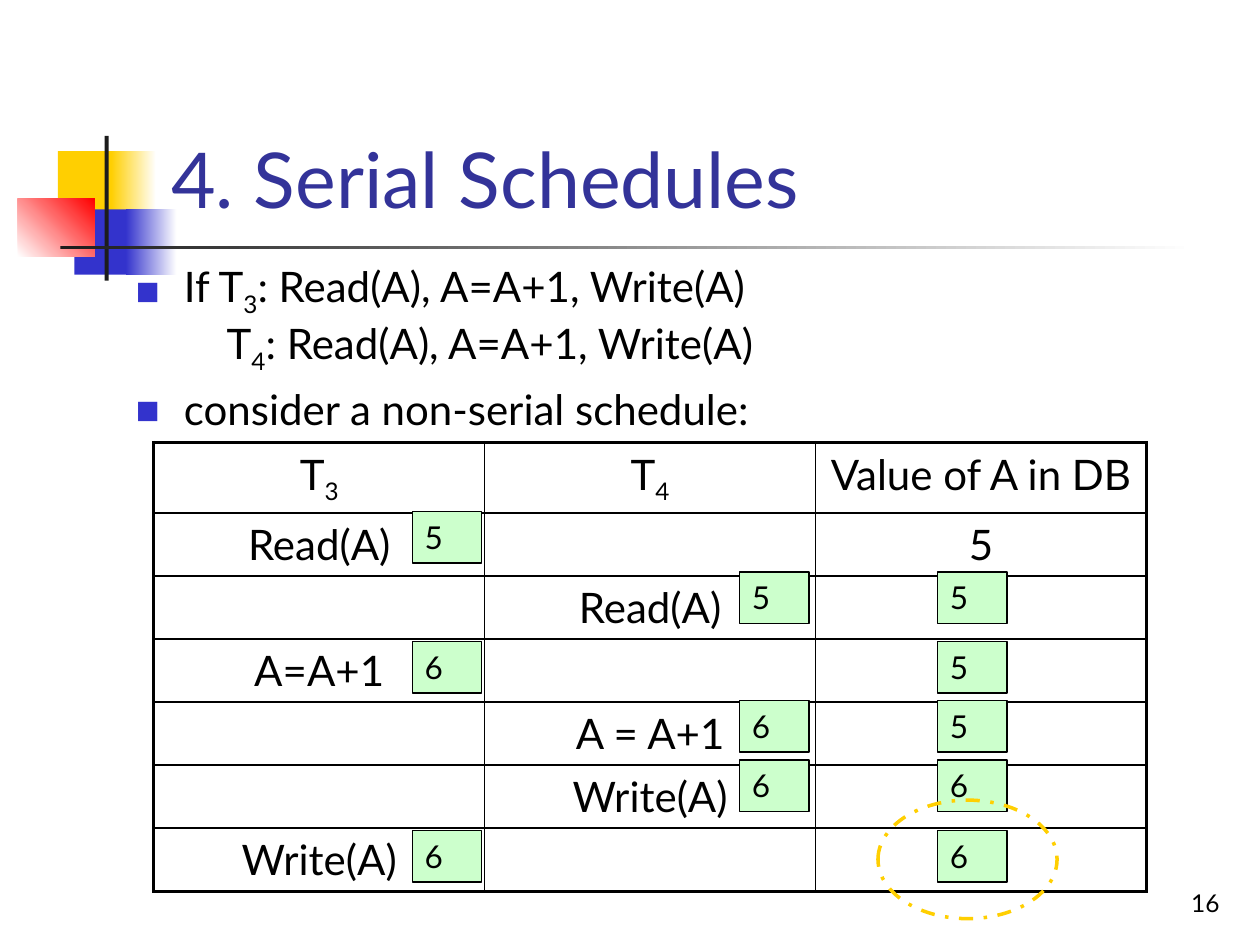
from lxml import etree
from pptx import Presentation
from pptx.dml.color import RGBColor
from pptx.enum import dml, shapes, text
from pptx.oxml.ns import qn
from pptx.util import Cm, Pt

FONT = "Lato"
BLACK, WHITE, GOLD, BLUE, RED = "000000", "FFFFFF", "FFCF01", "3333CC", "FF0000"
DARK, TITLE, MINT = "1C1C1C", "333399", "CCFFCC"

# Content: in a tuple of text parts, every second part is a subscript
HEADING = ("4. Serial Schedules",)
PAGE = ("16",)
BODY = [  # parts, left margin, bulleted, space before
    (("If T", "3", ": Read(A), A=A+1, Write(A)"), 0.97, True, 0),
    (("T", "4", ": Read(A), A=A+1, Write(A)"), 1.83, False, 0),
    (("consider a non-serial schedule:",), 0.97, True, 4.8),
]
SCHEDULE = [
    [("T", "3"), ("T", "4"), ("Value of A in DB",)],
    [("Read(A)",), (), ("5",)],
    [(), ("Read(A)",), ()],
    [("A=A+1",), (), ()],
    [(), ("A = A+1",), ()],
    [(), ("Write(A)",), ()],
    [("Write(A)",), (), ()],
]
VALUE_X = {"T3": 8.31, "T4": 14.91, "DB": 18.9}
VALUES = [  # top, value shown in each column
    (10.31, {"T3": "5"}),
    (11.53, {"T4": "5", "DB": "5"}),
    (12.93, {"T3": "6", "DB": "5"}),
    (14.12, {"T4": "6", "DB": "5"}),
    (15.32, {"T4": "6", "DB": "6"}),
    (16.74, {"T3": "6", "DB": "6"}),
]
DECOR = [  # left, top, width, height, colours, gradient angle
    (1.17, 3.05, 1.22, 1.32, (GOLD,), 0),
    (2.24, 3.05, 0.91, 1.32, (GOLD, WHITE), 0),
    (1.5, 4.22, 1.17, 1.32, (BLUE,), 0),
    (2.54, 4.22, 1.02, 1.32, (BLUE, WHITE), 0),
    (0.36, 4.01, 1.55, 1.17, (WHITE, RED), 45),
    (2.11, 2.74, 0.08, 2.92, (DARK,), 0),
    (1.22, 4.95, 22.86, 0.08, (DARK, WHITE), 0),
]


def rgb(value):
    return RGBColor.from_string(value)


def write(p, parts, size, color=BLACK, align=text.PP_ALIGN.LEFT):
    p.alignment = align
    for i, part in enumerate(parts):
        r = p.add_run()
        r.text = part
        for key, value in {"size": Pt(size), "name": FONT}.items():
            setattr(r.font, key, value)
        r.font.color.rgb = rgb(color)
        if i % 2:
            r._r.get_or_add_rPr().set("baseline", "-25000")


def frame(sp, anchor):
    tf = sp.text_frame
    settings = {"word_wrap": True, "auto_size": text.MSO_AUTO_SIZE.NONE,
                "vertical_anchor": anchor}
    for key, value in settings.items():
        setattr(tf, key, value)
    return tf


def add_shape(s, kind, box, colors=(), angle=0):
    sp = s.shapes.add_shape(kind, *map(Cm, box))
    sp.shadow.inherit = False
    sp.line.fill.background()
    if len(colors) == 2:
        sp.fill.gradient()
        sp.fill.gradient_angle = angle
        for i, stop in enumerate(sp.fill.gradient_stops):
            stop.position = i
            stop.color.rgb = rgb(colors[i])
    elif colors:
        sp.fill.solid()
        sp.fill.fore_color.rgb = rgb(colors[0])
    else:
        sp.fill.background()
    return sp


def indent(p, left, bulleted):
    pPr = p._p.get_or_add_pPr()
    pPr.set("marL", str(Cm(left)))
    pPr.set("indent", str(-Cm(left) if bulleted else 0))
    if bulleted:
        color = etree.SubElement(pPr, qn("a:buClr"))
        etree.SubElement(color, qn("a:srgbClr"), val=BLUE)
        etree.SubElement(pPr, qn("a:buSzPct"), val="60000")
        etree.SubElement(pPr, qn("a:buFont"), typeface=FONT)
        etree.SubElement(pPr, qn("a:buChar"), char="■")
    else:
        etree.SubElement(pPr, qn("a:buNone"))


def set_borders(cell, widths):
    tcPr = cell._tc.get_or_add_tcPr()
    for side, width in widths.items():
        ln = etree.SubElement(tcPr, qn("a:ln" + side), w=str(Pt(width)))
        fill = etree.SubElement(ln, qn("a:solidFill"))
        etree.SubElement(fill, qn("a:srgbClr"), val=BLACK)


def add_schedule(s):
    rows, cols = len(SCHEDULE), len(SCHEDULE[0])
    table = s.shapes.add_table(rows, cols, Cm(3.1), Cm(8.92), Cm(20.01), Cm(9.04)).table
    table.first_row = table.horz_banding = False
    for column in table.columns:
        column.width = Cm(6.67)
    for i, row in enumerate(SCHEDULE):
        table.rows[i].height = Cm(1.27 if i else 1.42)
        for j, parts in enumerate(row):
            cell = table.cell(i, j)
            outer = {"L": j == 0, "R": j == cols - 1, "T": i == 0, "B": i == rows - 1}
            set_borders(cell, {side: 2.25 if edge else 1 for side, edge in outer.items()})
            cell.fill.background()
            write(cell.text_frame.paragraphs[0], parts, 24, align=text.PP_ALIGN.CENTER)


def main():
    prs = Presentation()
    prs.slide_width, prs.slide_height = Cm(25.4), Cm(19.05)
    s = prs.slides.add_slide(prs.slide_layouts[5])
    rect = shapes.MSO_SHAPE.RECTANGLE

    # Corner decoration
    for *box, colors, angle in DECOR:
        add_shape(s, rect, box, colors, angle)

    # Title
    title = s.shapes.title
    title.left, title.top, title.width, title.height = map(Cm, (3.2, 0.58, 21.64, 4.06))
    write(frame(title, text.MSO_ANCHOR.BOTTOM).paragraphs[0], HEADING, 44, TITLE)

    # Page number
    page = s.shapes.add_textbox(*map(Cm, (19.56, 17.35, 5.28, 1.27)))
    write(frame(page, text.MSO_ANCHOR.BOTTOM).paragraphs[0], PAGE, 14,
          align=text.PP_ALIGN.RIGHT)

    # Bulleted text
    body = s.shapes.add_textbox(*map(Cm, (2.49, 5.13, 20.22, 3.61)))
    tf = frame(body, text.MSO_ANCHOR.TOP)
    for i, (parts, left, bulleted, before) in enumerate(BODY):
        p = tf.add_paragraph() if i else tf.paragraphs[0]
        indent(p, left, bulleted)
        p.space_before = Pt(before)
        write(p, parts, 24)

    # Schedule table and the values over it
    add_schedule(s)
    for top, values in VALUES:
        for column, value in values.items():
            sp = add_shape(s, rect, (VALUE_X[column], top, 1.4, 1.04), (MINT,))
            sp.line.color.rgb = rgb(BLACK)
            sp.line.width = Pt(0.75)
            write(frame(sp, text.MSO_ANCHOR.TOP).paragraphs[0], (value,), 18)

    # Ring around the final value
    ring = add_shape(s, shapes.MSO_SHAPE.OVAL, (17.7, 16.13, 3.61, 2.39))
    ring.line.color.rgb = rgb(GOLD)
    ring.line.width = Pt(2)
    ring.line.dash_style = dml.MSO_LINE.DASH_DOT

    prs.save("out.pptx")


if __name__ == "__main__":
    main()
